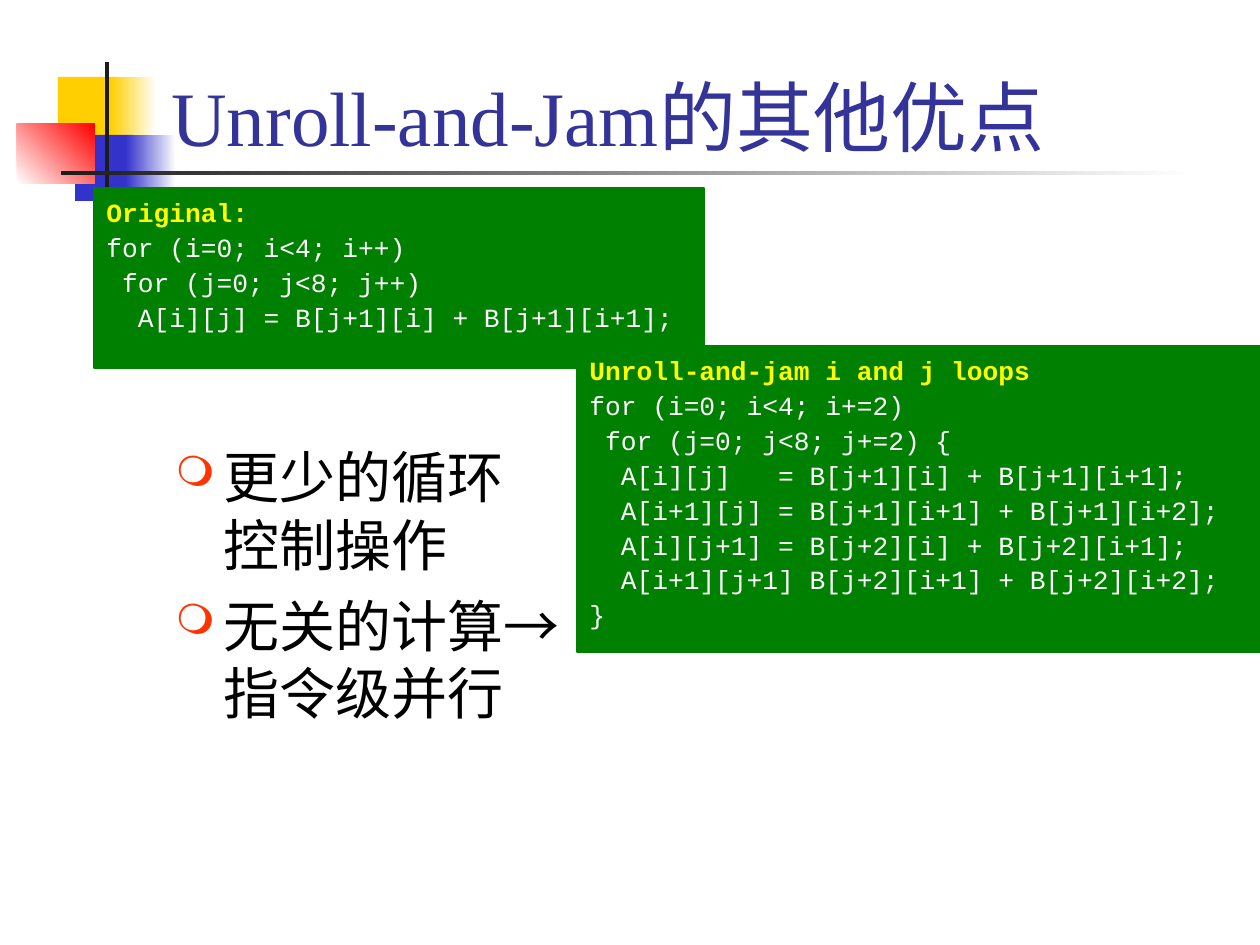
"""Build the slide on further benefits of the unroll-and-jam loop transformation."""
from typing import NamedTuple, Optional

import lxml.etree
import pptx
import pptx.dml.color
import pptx.enum.shapes
import pptx.enum.text
import pptx.oxml.ns
import pptx.util

PX = 914400 / 126
YELLOW = pptx.dml.color.RGBColor(0xFF, 0xCF, 0x01)
BLUE = pptx.dml.color.RGBColor(0x33, 0x33, 0xCC)
RED = pptx.dml.color.RGBColor(0xFF, 0x00, 0x00)
CHARCOAL = pptx.dml.color.RGBColor(0x1C, 0x1C, 0x1C)
WHITE = pptx.dml.color.RGBColor(0xFF, 0xFF, 0xFF)
BLACK = pptx.dml.color.RGBColor(0x00, 0x00, 0x00)
GREEN = pptx.dml.color.RGBColor(0x00, 0x80, 0x00)
INDIGO = pptx.dml.color.RGBColor(0x33, 0x33, 0x99)
CODE_HEADING = pptx.dml.color.RGBColor(0xFF, 0xFF, 0x00)
BULLET_COLOR = "FF3300"


class Box(NamedTuple):
    left: int
    top: int
    width: int
    height: int


class Block(NamedTuple):
    box: Box
    color: pptx.dml.color.RGBColor
    fade_to: Optional[pptx.dml.color.RGBColor] = None
    angle: int = 0


class Listing(NamedTuple):
    box: Box
    heading: str
    code: tuple[str, ...]


class Benefit(NamedTuple):
    first_line: str
    arrow: str
    second_line: str


BLOCKS = (
    Block(Box(58, 77, 60, 66), YELLOW),
    Block(Box(111, 77, 45, 66), YELLOW, WHITE),
    Block(Box(75, 135, 58, 66), BLUE),
    Block(Box(126, 135, 50, 66), BLUE, WHITE),
    Block(Box(17, 124, 78, 60), WHITE, RED, 45),
    Block(Box(105, 62, 4, 145), CHARCOAL),
    Block(Box(61, 171, 1134, 4), CHARCOAL, WHITE),
)
BENEFITS = (
    Benefit("更少的循环", "", "控制操作"),
    Benefit("无关的计算", "→", "指令级并行"),
)
LISTINGS = (
    Listing(Box(94, 188, 610, 180), "Original:", (
        "for (i=0; i<4; i++)",
        " for (j=0; j<8; j++)",
        "  A[i][j] = B[j+1][i] + B[j+1][i+1];",
    )),
    Listing(Box(577, 346, 683, 306), "Unroll-and-jam i and j loops", (
        "for (i=0; i<4; i+=2)",
        " for (j=0; j<8; j+=2) {",
        "  A[i][j]   = B[j+1][i] + B[j+1][i+1];",
        "  A[i+1][j] = B[j+1][i+1] + B[j+1][i+2];",
        "  A[i][j+1] = B[j+2][i] + B[j+2][i+1];",
        "  A[i+1][j+1] B[j+2][i+1] + B[j+2][i+2];",
        "}",
    )),
)


def px(length: int) -> int:
    return round(length * PX)


def place(box: Box) -> tuple[int, ...]:
    return tuple(px(length) for length in box)


def style(font, name: str, size: int, color: pptx.dml.color.RGBColor) -> None:
    font.name = name
    font.size = pptx.util.Pt(size)
    font.color.rgb = color


def add_rectangle(slide, box: Box):
    rectangle = slide.shapes.add_shape(
        pptx.enum.shapes.MSO_SHAPE.RECTANGLE, *place(box))
    rectangle.shadow.inherit = False
    return rectangle


def draw_block(slide, block: Block) -> None:
    rectangle = add_rectangle(slide, block.box)
    rectangle.line.fill.background()
    if block.fade_to is None:
        rectangle.fill.solid()
        rectangle.fill.fore_color.rgb = block.color
        return
    rectangle.fill.gradient()
    rectangle.fill.gradient_angle = block.angle
    for stop, color in zip(rectangle.fill.gradient_stops, (block.color, block.fade_to)):
        stop.color.rgb = color


def draw_title(slide, box: Box, wording: str) -> None:
    frame = slide.shapes.add_textbox(*place(box)).text_frame
    frame.word_wrap = True
    frame.vertical_anchor = pptx.enum.text.MSO_ANCHOR.BOTTOM
    frame.text = wording
    style(frame.paragraphs[0].font, "Times New Roman", 44, INDIGO)


def add_bullet(paragraph) -> None:
    properties = paragraph._p.get_or_add_pPr()
    properties.set("marL", str(px(48)))
    properties.set("indent", str(px(-48)))
    qn = pptx.oxml.ns.qn
    color = lxml.etree.SubElement(properties, qn("a:buClr"))
    lxml.etree.SubElement(color, qn("a:srgbClr"), val=BULLET_COLOR)
    lxml.etree.SubElement(properties, qn("a:buSzPct"), val="75000")
    lxml.etree.SubElement(properties, qn("a:buChar"), char="❍")


def draw_benefits(slide, box: Box, benefits: tuple[Benefit, ...]) -> None:
    frame = slide.shapes.add_textbox(*place(box)).text_frame
    frame.word_wrap = True
    frame.margin_top = px(254)
    for index, benefit in enumerate(benefits):
        paragraph = frame.add_paragraph() if index else frame.paragraphs[0]
        add_bullet(paragraph)
        paragraph.space_before = pptx.util.Pt(8 if index else 0)
        style(paragraph.font, "Times New Roman", 32, BLACK)
        paragraph.add_run().text = benefit.first_line
        if benefit.arrow:
            arrow = paragraph.add_run()
            arrow.text = benefit.arrow
            arrow.font.name = "Arial"
        paragraph.add_line_break()
        paragraph.add_run().text = benefit.second_line


def draw_listing(slide, listing: Listing) -> None:
    panel = add_rectangle(slide, listing.box)
    panel.fill.solid()
    panel.fill.fore_color.rgb = GREEN
    panel.line.color.rgb = GREEN
    panel.line.width = pptx.util.Pt(0.75)
    frame = panel.text_frame
    frame.word_wrap = True
    frame.vertical_anchor = pptx.enum.text.MSO_ANCHOR.TOP
    frame.margin_top = px(12)
    for index, line in enumerate((listing.heading, *listing.code)):
        paragraph = frame.add_paragraph() if index else frame.paragraphs[0]
        paragraph.text = line
        paragraph.alignment = pptx.enum.text.PP_ALIGN.LEFT
        paragraph.line_spacing = 0.9
        paragraph.space_before = pptx.util.Pt(3.7 if index else 0)
        style(paragraph.font, "Courier New", 15, WHITE if index else CODE_HEADING)
        paragraph.font.bold = index == 0


def main() -> None:
    presentation = pptx.Presentation()
    presentation.slide_width = px(1260)
    presentation.slide_height = px(945)
    slide = presentation.slides.add_slide(presentation.slide_layouts[6])
    for block in BLOCKS:
        draw_block(slide, block)
    draw_title(slide, Box(159, 10, 1073, 158), "Unroll-and-Jam的其他优点")
    draw_benefits(slide, Box(163, 189, 1071, 651), BENEFITS)
    for listing in LISTINGS:
        draw_listing(slide, listing)
    presentation.save("out.pptx")


if __name__ == "__main__":
    main()
